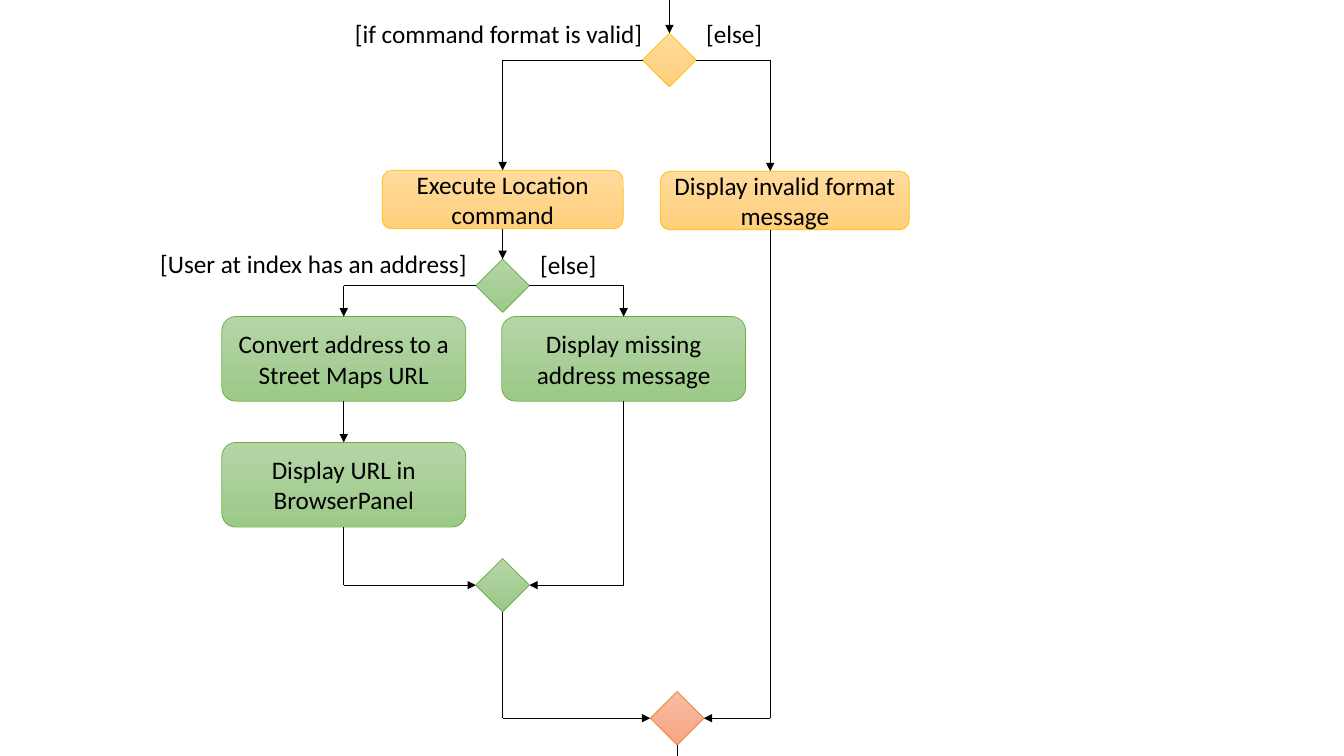
from dataclasses import dataclass
from typing import Any

from lxml.etree import SubElement
from pptx import Presentation
from pptx.dml.color import RGBColor
from pptx.enum.shapes import MSO_CONNECTOR, MSO_SHAPE
from pptx.enum.text import MSO_ANCHOR, PP_ALIGN
from pptx.oxml.ns import qn
from pptx.util import Inches, Pt

WIDE, HIGH = Inches(13.33), Inches(7.5)
TOP, LEFT, BOTTOM, RIGHT = range(4)


@dataclass(frozen=True)
class Theme:
    font: str = "Calibri"
    size: int = 18
    line: float = 0.5
    ink: str = "000000"
    # Each tone holds the upper fill, the lower fill and the outline.
    amber: tuple = ("FFDB9E", "FFD07C", "FFC000")
    green: tuple = ("B5D5A7", "9CC987", "70AD47")
    coral: tuple = ("F7BDA5", "F8A582", "ED7D31")


@dataclass(frozen=True)
class Spot:
    """An end of a line, in EMU, with the shape side it is glued to, if any."""
    x: int
    y: int
    shape: Any = None
    side: int = TOP


THEME = Theme()

# Shares of the slide, in percent: centres of columns and rows.
COL = {"url": 25.58, "main": 37.4, "missing": 46.4, "start": 49.81,
       "end": 50.38, "lane": 57.31, "invalid": 58.4}
ROW = {"start": 7.93, "command": 26.4, "invalid": 26.53, "test": 37.8,
       "address": 47.47, "url": 64.13, "merge": 77.4, "end": 95}
GEM = (3.98, 7.07)
STEP = (18.15, 11.2)


def across(share):
    return round(WIDE * share / 100)


def down(share):
    return round(HIGH * share / 100)


def write(shape, text, align):
    frame = shape.text_frame
    frame.word_wrap = True
    frame.text = text
    para = frame.paragraphs[0]
    para.alignment = align
    font = para.runs[0].font
    font.name, font.size = THEME.font, Pt(THEME.size)
    font.color.rgb = RGBColor.from_string(THEME.ink)


def node(slide, kind, col, row, size, tone):
    """Add a shaded shape centred on a column and a row."""
    wide, high = size
    shape = slide.shapes.add_shape(
        kind, across(COL[col] - wide / 2), down(ROW[row] - high / 2),
        across(wide), down(high))
    shape.shadow.inherit = False
    shape.fill.gradient()
    shape.fill.gradient_angle = 270
    for stop, shade in zip(shape.fill.gradient_stops, tone):
        stop.color.rgb = RGBColor.from_string(shade)
    shape.line.color.rgb = RGBColor.from_string(tone[-1])
    shape.line.width = Pt(THEME.line)
    return shape


def gem(slide, col, row, tone):
    return node(slide, MSO_SHAPE.DIAMOND, col, row, GEM, tone)


def step(slide, text, col, row, tone, size=STEP):
    shape = node(slide, MSO_SHAPE.ROUNDED_RECTANGLE, col, row, size, tone)
    shape.text_frame.vertical_anchor = MSO_ANCHOR.MIDDLE
    write(shape, text, PP_ALIGN.CENTER)
    return shape


def label(slide, text, left, top, wide):
    box = slide.shapes.add_textbox(
        across(left), down(top), across(wide), down(5.33))
    write(box, text, PP_ALIGN.LEFT)


def port(shape, side):
    """Return the middle of a shape's side."""
    x = shape.left + shape.width * {LEFT: 0, RIGHT: 2}.get(side, 1) // 2
    y = shape.top + shape.height * {TOP: 0, BOTTOM: 2}.get(side, 1) // 2
    return Spot(x, y, shape, side)


def link(slide, start, end, head=True):
    wire = slide.shapes.add_connector(
        MSO_CONNECTOR.STRAIGHT, start.x, start.y, end.x, end.y)
    if start.shape is not None:
        wire.begin_connect(start.shape, start.side)
    if end.shape is not None:
        wire.end_connect(end.shape, end.side)
    wire.line.color.rgb = RGBColor.from_string(THEME.ink)
    wire.line.width = Pt(THEME.line)
    if head:
        SubElement(wire.line._get_or_add_ln(), qn("a:tailEnd"), type="triangle")
    SubElement(wire._element.spPr, qn("a:effectLst"))


def bend(slide, start, end):
    """Link two spots by a right angle; a sideways start runs level first."""
    level = start.side in (LEFT, RIGHT)
    turn = Spot(end.x, start.y) if level else Spot(start.x, end.y)
    link(slide, start, turn, head=False)
    link(slide, turn, end)


def main():
    deck = Presentation()
    deck.slide_width, deck.slide_height = WIDE, HIGH
    slide = deck.slides.add_slide(deck.slide_layouts[6])

    start = gem(slide, "start", "start", THEME.amber)
    test = gem(slide, "main", "test", THEME.green)
    merge = gem(slide, "main", "merge", THEME.green)
    end = gem(slide, "end", "end", THEME.coral)

    command = step(slide, "Execute Location command", "main", "command",
                   THEME.amber, (17.93, 7.75))
    invalid = step(slide, "Display invalid format message", "invalid",
                   "invalid", THEME.amber, (18.53, 7.75))
    convert = step(slide, "Convert address to a Street Maps URL", "url",
                   "address", THEME.green)
    missing = step(slide, "Display missing address message", "missing",
                   "address", THEME.green)
    show = step(slide, "Display URL in BrowserPanel", "url", "url",
                THEME.green)

    label(slide, "[if command format is valid]", 25.66, 1.73, 23.2)
    label(slide, "[else]", 51.8, 1.73, 7)
    label(slide, "[User at index has an address]", 11.18, 32.13, 24.8)
    label(slide, "[else]", 39.46, 32.27, 5.8)

    entry = port(start, TOP)
    link(slide, Spot(entry.x, 0), entry)
    bend(slide, port(start, LEFT), port(command, TOP))
    lane = across(COL["lane"])
    bend(slide, port(start, RIGHT), Spot(lane, invalid.top))
    bend(slide, Spot(lane, invalid.top + invalid.height), port(end, RIGHT))

    link(slide, port(command, BOTTOM), port(test, TOP))
    bend(slide, port(test, LEFT), port(convert, TOP))
    bend(slide, port(test, RIGHT), port(missing, TOP))
    link(slide, port(convert, BOTTOM), port(show, TOP))
    bend(slide, port(show, BOTTOM), port(merge, LEFT))
    bend(slide, port(missing, BOTTOM), port(merge, RIGHT))
    bend(slide, port(merge, BOTTOM), port(end, LEFT))
    leave = port(end, BOTTOM)
    link(slide, leave, Spot(leave.x, HIGH), head=False)

    deck.save("out.pptx")


if __name__ == "__main__":
    main()
